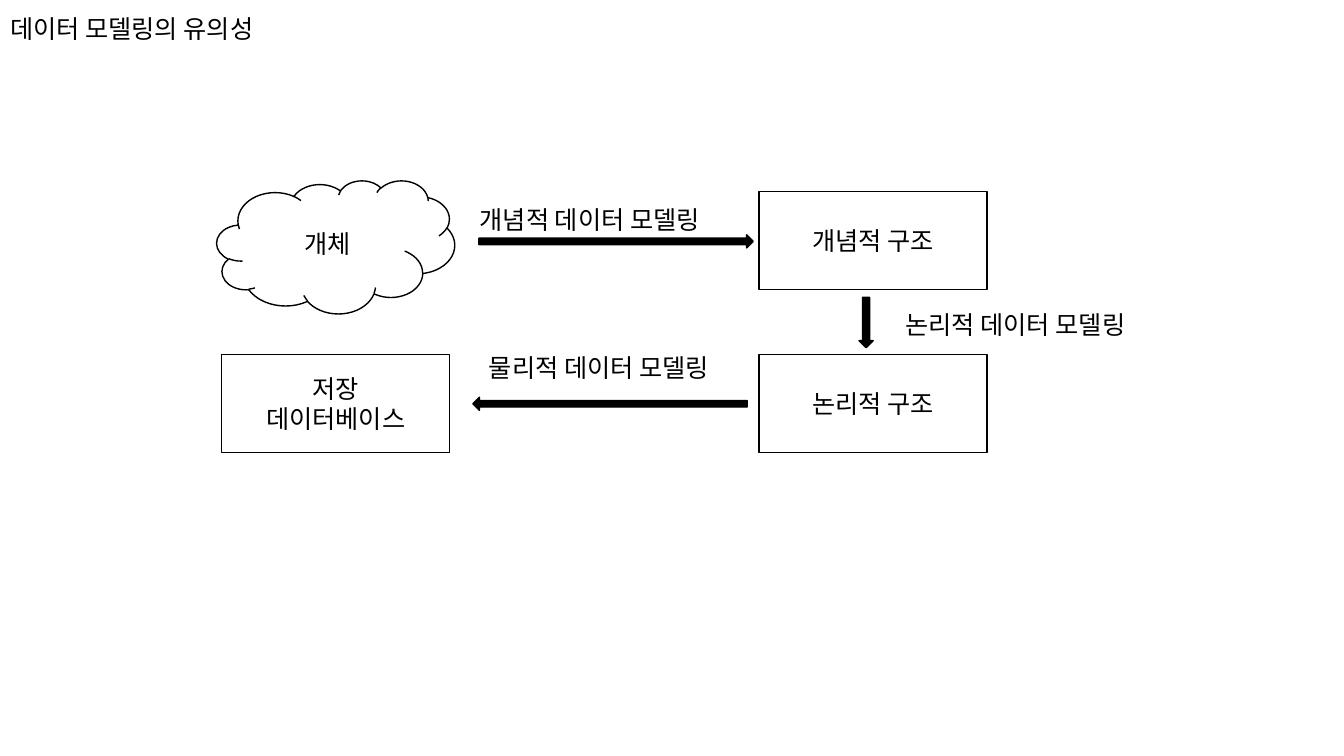
from lxml.etree import SubElement
from pptx import Presentation
from pptx.dml.color import RGBColor
from pptx.enum.shapes import MSO_SHAPE
from pptx.enum.text import MSO_ANCHOR, MSO_AUTO_SIZE, PP_ALIGN
from pptx.oxml.ns import qn
from pptx.util import Inches, Pt

FONT = "Noto Sans CJK KR"
COLORS = {"ink": "000000", "paper": "FFFFFF"}

TITLE = "데이터 모델링의 유의성"
ENTITY = "개체"
ENTITY_BOX = (2.15, 1.79, 2.36, 1.32)

LEFT_COLUMN, RIGHT_COLUMN = 2.2, 7.53
TOP_ROW, BOTTOM_ROW = 1.9, 3.52
BOX_SIZE = (2.26, 0.97)
STRUCTURES = [  # text, left, top
    ("개념적 구조", RIGHT_COLUMN, TOP_ROW),
    ("논리적 구조", RIGHT_COLUMN, BOTTOM_ROW),
    ("저장\n데이터베이스", LEFT_COLUMN, BOTTOM_ROW),
]

LABEL_SIZE = (2.72, 0.36)
STEPS = [  # label, label left and top, arrow box, arrow rotation
    ("개념적 데이터 모델링", (4.66, 1.98), (4.75, 2.33, 2.72, 0.13), 0),
    ("물리적 데이터 모델링", (4.75, 3.45), (4.69, 3.94, 2.72, 0.13), 180),
    ("논리적 데이터 모델링", (8.88, 3.02), (8.34, 3.13, 0.5, 0.14), 90),
]


def color(name):
    return RGBColor.from_string(COLORS[name])


def inches(box):
    return [Inches(value) for value in box]


def write_text(shape, text, size=18, align=PP_ALIGN.LEFT,
               anchor=MSO_ANCHOR.TOP, grow=False):
    frame = shape.text_frame
    frame.text = text
    frame.word_wrap = True
    frame.vertical_anchor = anchor
    frame.auto_size = MSO_AUTO_SIZE.SHAPE_TO_FIT_TEXT if grow else MSO_AUTO_SIZE.NONE
    for paragraph in frame.paragraphs:
        paragraph.alignment = align
        for run in paragraph.runs:
            run.font.size = Pt(size)
            run.font.color.rgb = color("ink")
            run.font.name = FONT
            # Hangul takes its typeface from the East Asian slot
            SubElement(run.font._element, qn("a:ea"), typeface=FONT)


def add_figure(shapes, kind, box, fill, rotation=0):
    shape = shapes.add_shape(kind, *inches(box))
    shape.rotation = rotation
    shape.shadow.inherit = False
    shape.fill.solid()
    shape.fill.fore_color.rgb = color(fill)
    shape.line.color.rgb = color("ink")
    shape.line.width = Pt(1)
    return shape


def add_node(shapes, kind, box, text):
    shape = add_figure(shapes, kind, box, "paper")
    write_text(shape, text, align=PP_ALIGN.CENTER, anchor=MSO_ANCHOR.MIDDLE)


def main():
    presentation = Presentation()
    presentation.slide_width, presentation.slide_height = inches((13.33, 7.5))
    slide = presentation.slides.add_slide(presentation.slide_layouts[5])

    title = slide.shapes.title
    title.left, title.top, title.width, title.height = inches((0, 0.08, 4.03, 0.4))
    write_text(title, TITLE, grow=True)

    diagram = slide.shapes.add_group_shape().shapes
    add_node(diagram, MSO_SHAPE.CLOUD, ENTITY_BOX, ENTITY)
    for text, left, top in STRUCTURES:
        add_node(diagram, MSO_SHAPE.RECTANGLE, (left, top, *BOX_SIZE), text)
    for text, corner, arrow_box, rotation in STEPS:
        label = diagram.add_textbox(*inches((*corner, *LABEL_SIZE)))
        write_text(label, text, grow=True)
        add_figure(diagram, MSO_SHAPE.RIGHT_ARROW, arrow_box, "ink", rotation)

    presentation.save("out.pptx")


if __name__ == "__main__":
    main()
